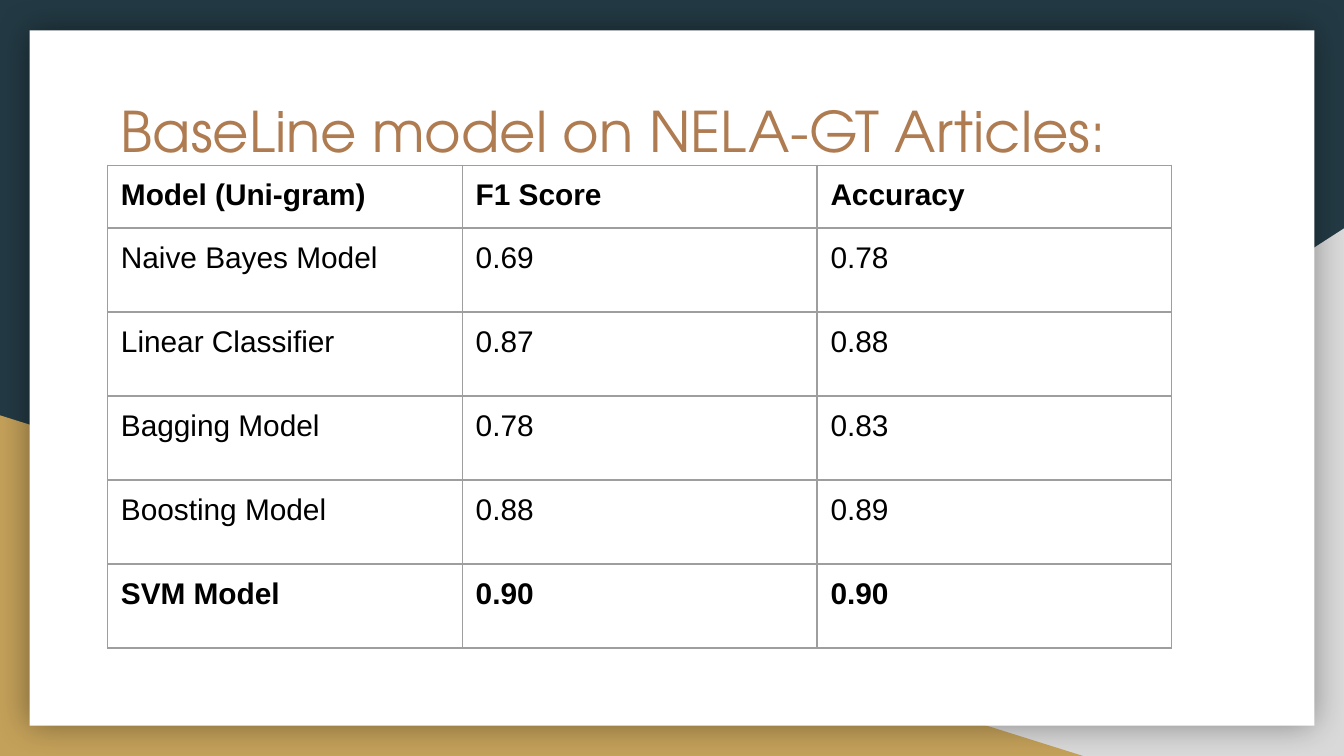
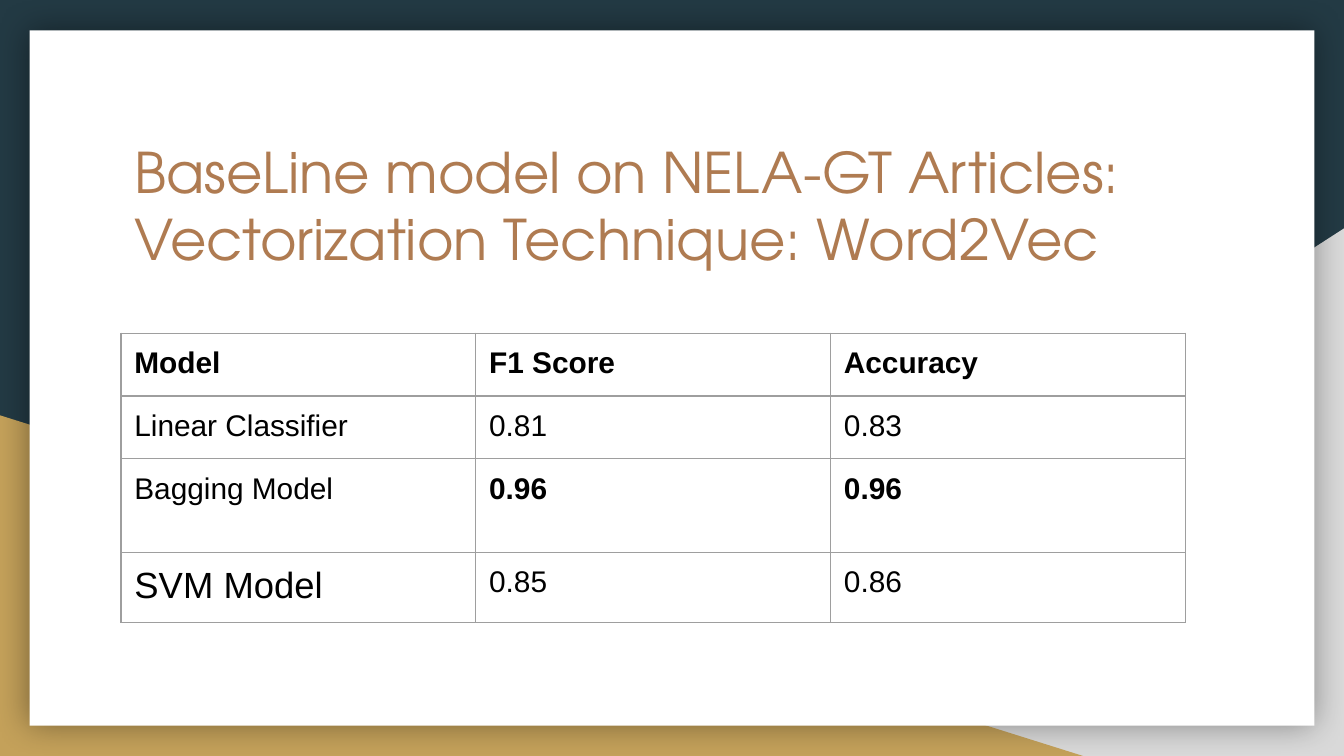
from dataclasses import dataclass

from lxml.etree import SubElement
from pptx import Presentation
from pptx.dml.color import RGBColor
from pptx.enum.shapes import MSO_SHAPE as Preset
from pptx.oxml.ns import qn
from pptx.slide import Slide
from pptx.util import Inches, Pt

WIDTH = Inches(10)
HEIGHT = WIDTH * 9 // 16
UNIT = WIDTH // 100

NAVY, GOLD, SILVER, WHITE = "233A44", "C4A15A", "D9D9D9", "FFFFFF"
COPPER, BLACK, GREY = "AF7B51", "000000", "9E9E9E"
TITLE_FONT, TABLE_FONT = "TeX Gyre Adventor", "Arial"
TITLE_SIZE, TABLE_SIZE = 30, 16
COLUMN_WIDTH = 26.4


@dataclass(frozen=True)
class Box:
    column: float
    row: float
    columns: float
    rows: float

    def lengths(self) -> tuple[int, ...]:
        return tuple(
            grid(value)
            for value in (self.column, self.row, self.columns, self.rows)
        )


@dataclass(frozen=True)
class Panel:
    preset: Preset
    box: Box
    fill: str
    flipped: bool = False
    shadowed: bool = False


@dataclass(frozen=True)
class Score:
    model: str
    f1: str
    accuracy: str
    height: float
    bold_model: bool = False
    bold_scores: bool = False
    model_size: float = TABLE_SIZE


@dataclass(frozen=True)
class ResultSlide:
    title: tuple[str, ...]
    title_box: Box
    table_column: float
    table_row: float
    scores: tuple[Score, ...]


PANELS = (
    Panel(Preset.RIGHT_TRIANGLE, Box(39.2, 17, 60.8, 39.25), SILVER, flipped=True),
    Panel(Preset.RIGHT_TRIANGLE, Box(0, 30.9, 80.6, 25.35), GOLD),
    Panel(Preset.RECTANGLE, Box(2.2, 2.25, 95.6, 51.75), WHITE, shadowed=True),
)

HEADINGS = ("F1 Score", "Accuracy")
SUBJECT = "BaseLine model on NELA-GT Articles:"

RESULTS = (
    ResultSlide(
        (SUBJECT,),
        Box(8, 6.2, 79.2, 4.7),
        8,
        12.3,
        (
            Score("Model (Uni-gram)", *HEADINGS, 4.45, True, True),
            Score("Naive Bayes Model", "0.69", "0.78", 6.25),
            Score("Linear Classifier", "0.87", "0.88", 6.25),
            Score("Bagging Model", "0.78", "0.83", 6.25),
            Score("Boosting Model", "0.88", "0.89", 6.25),
            Score("SVM Model", "0.90", "0.90", 6.25, True, True),
        ),
    ),
    ResultSlide(
        (SUBJECT, "Vectorization Technique: Word2Vec"),
        Box(9, 9.2, 82.1, 12.6),
        9,
        24.8,
        (
            Score("Model", *HEADINGS, 4.45, True, True),
            Score("Linear Classifier", "0.81", "0.83", 4.45),
            Score("Bagging Model", "0.96", "0.96", 6.95, bold_scores=True),
            Score("SVM Model", "0.85", "0.86", 5, model_size=19.5),
        ),
    ),
)


def grid(units: float) -> int:
    return round(units * UNIT)


def color(value: str) -> RGBColor:
    return RGBColor.from_string(value)


def set_font(paragraph, name: str, size: float, value: str, bold: bool = False) -> None:
    font = paragraph.font
    font.name = name
    font.size = Pt(size)
    font.bold = bold
    font.color.rgb = color(value)


def set_margins(target) -> None:
    target.margin_left = target.margin_right = grid(1)
    target.margin_top = target.margin_bottom = grid(1)


def add_shadow(shape) -> None:
    effects = shape._element.spPr.find(qn("a:effectLst"))
    shadow = SubElement(
        effects, qn("a:outerShdw"), blurRad=str(Pt(18)), dist="0", dir="0",
        algn="ctr", rotWithShape="0",
    )
    tint = SubElement(shadow, qn("a:srgbClr"), val=BLACK)
    SubElement(tint, qn("a:alpha"), val="40000")


def draw_panel(slide: Slide, panel: Panel) -> None:
    shape = slide.shapes.add_shape(panel.preset, *panel.box.lengths())
    shape.fill.solid()
    shape.fill.fore_color.rgb = color(panel.fill)
    shape.line.fill.background()
    shape.shadow.inherit = False
    if panel.flipped:
        shape._element.spPr.xfrm.set("flipH", "1")
    if panel.shadowed:
        add_shadow(shape)


def draw_title(slide: Slide, lines: tuple[str, ...], box: Box) -> None:
    frame = slide.shapes.add_textbox(*box.lengths()).text_frame
    frame.word_wrap = True
    set_margins(frame)
    frame.text = "\n".join(lines)
    for paragraph in frame.paragraphs:
        set_font(paragraph, TITLE_FONT, TITLE_SIZE, COPPER)


def add_borders(cell) -> None:
    properties = cell._tc.get_or_add_tcPr()
    for side in ("lnL", "lnR", "lnT", "lnB"):
        line = SubElement(properties, qn(f"a:{side}"), w=str(Pt(0.75)))
        fill = SubElement(line, qn("a:solidFill"))
        SubElement(fill, qn("a:srgbClr"), val=GREY)


def fill_cell(cell, text: str, size: float, bold: bool) -> None:
    set_margins(cell)
    cell.text = text
    set_font(cell.text_frame.paragraphs[0], TABLE_FONT, size, BLACK, bold)
    add_borders(cell)
    cell.fill.background()


def draw_table(slide: Slide, result: ResultSlide) -> None:
    scores = result.scores
    box = Box(
        result.table_column, result.table_row,
        3 * COLUMN_WIDTH, sum(score.height for score in scores),
    )
    table = slide.shapes.add_table(len(scores), 3, *box.lengths()).table
    table.first_row = table.horz_banding = False
    for column in table.columns:
        column.width = grid(COLUMN_WIDTH)
    for row, score in zip(table.rows, scores):
        row.height = grid(score.height)
        model, f1, accuracy = row.cells
        fill_cell(model, score.model, score.model_size, score.bold_model)
        fill_cell(f1, score.f1, TABLE_SIZE, score.bold_scores)
        fill_cell(accuracy, score.accuracy, TABLE_SIZE, score.bold_scores)


def draw_result(presentation, result: ResultSlide) -> None:
    slide = presentation.slides.add_slide(presentation.slide_layouts[6])
    slide.background.fill.solid()
    slide.background.fill.fore_color.rgb = color(NAVY)
    for panel in PANELS:
        draw_panel(slide, panel)
    draw_title(slide, result.title, result.title_box)
    draw_table(slide, result)


def main() -> None:
    presentation = Presentation()
    presentation.slide_width = WIDTH
    presentation.slide_height = HEIGHT
    for result in RESULTS:
        draw_result(presentation, result)
    presentation.save("out.pptx")


if __name__ == "__main__":
    main()
